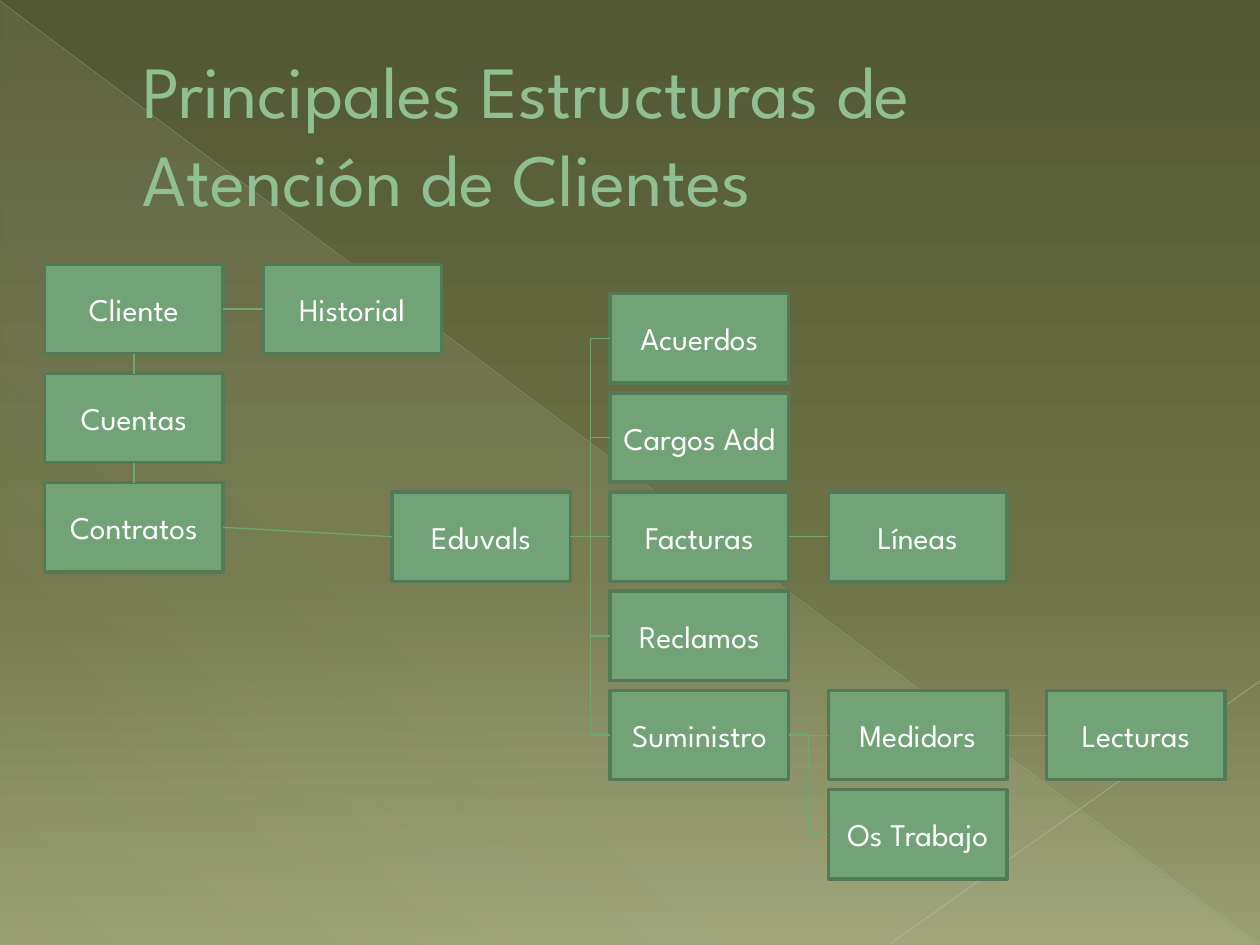
import pptx
import pptx.util
import pptx.dml.color
import pptx.enum.shapes
import pptx.enum.text
import pptx.oxml
import pptx.oxml.ns
from dataclasses import dataclass
from lxml import etree

Cm = pptx.util.Cm
Pt = pptx.util.Pt
RGB = pptx.dml.color.RGBColor.from_string
LINKS = pptx.enum.shapes.MSO_CONNECTOR
SHAPES = pptx.enum.shapes.MSO_SHAPE
NS = pptx.oxml.ns.nsdecls("a")


@dataclass(frozen=True)
class Theme:
    font: str = "League Spartan"
    title_size: int = 42
    box_size: int = 18
    title: str = "8FBF93"
    title_outline: str = "4F7152"
    box: str = "72A376"
    box_border: str = "547957"
    box_text: str = "FFFFFF"
    link: str = "6DA872"
    long_diagonal: str = "C1C3B9"
    short_diagonal: str = "C8C9C1"
    # Gradient stops: position %, colour, opacity %
    backdrop: tuple = ((0, "525734", 100), (60, "6D7345", 100), (100, "999F73", 100))
    sheen: tuple = ((0, "EAEBDE", 10), (70, "EAEBDE", 8), (100, "EAEBDE", 1))


theme = Theme()


def apply_gradient(solid_fill, stops, angle):
    """Put a linear gradient in the place of a solid fill element."""
    stop_xml = "".join(
        f'<a:gs pos="{position * 1000}"><a:srgbClr val="{colour}">'
        f'<a:alpha val="{opacity * 1000}"/></a:srgbClr></a:gs>'
        for position, colour, opacity in stops)
    gradient = pptx.oxml.parse_xml(
        f'<a:gradFill {NS} rotWithShape="1"><a:gsLst>{stop_xml}</a:gsLst>'
        f'<a:lin ang="{angle * 60000}" scaled="0"/></a:gradFill>')
    solid_fill.getparent().replace(solid_fill, gradient)


def add_line(kind, start, end, colour, width):
    """Add a shadowless connector between two points in cm."""
    line = slide.shapes.add_connector(kind, *map(Cm, start + end))
    line.line.color.rgb = RGB(colour)
    line.line.width = Pt(width)
    properties = line.element.xpath("./p:spPr")[0]
    etree.SubElement(properties, pptx.oxml.ns.qn("a:effectLst"))
    return line


presentation = pptx.Presentation()
presentation.slide_width, presentation.slide_height = Cm(25.4), Cm(19.05)
slide = presentation.slides.add_slide(presentation.slide_layouts[6])

# Background
slide.background.fill.solid()
apply_gradient(slide.element.xpath(".//p:bgPr/a:solidFill")[0], theme.backdrop, 90)

# Pale triangle and the two thin diagonals
sheen = slide.shapes.add_shape(
    SHAPES.RIGHT_TRIANGLE, Cm(0.02), Cm(0.04), Cm(25.35), Cm(19))
sheen.shadow.inherit = False
sheen.line.fill.background()
sheen.fill.solid()
sheen.fill.fore_color.rgb = RGB(theme.sheen[0][1])
apply_gradient(sheen.element.xpath("./p:spPr/a:solidFill")[0], theme.sheen, 133)

for start, end, colour, width, opacity in [
        ((0, 0.02), (25.37, 19.02), theme.long_diagonal, 0.39, 35),
        ((25.4, 13.73), (17.95, 19.02), theme.short_diagonal, 0.47, 45)]:
    diagonal = add_line(LINKS.STRAIGHT, start, end, colour, width)
    tint = diagonal.element.xpath(".//a:ln//a:srgbClr")[0]
    etree.SubElement(tint, pptx.oxml.ns.qn("a:alpha"), val=str(opacity * 1000))

# Title, with a thin outline on its letters
title = slide.shapes.add_textbox(Cm(1.27), Cm(0.74), Cm(22.86), Cm(3.89))
title.text_frame.word_wrap = True
title.text_frame.vertical_anchor = pptx.enum.text.MSO_ANCHOR.MIDDLE
title.text_frame.margin_left = Cm(1.6)
heading = title.text_frame.paragraphs[0]
heading.text = "Principales Estructuras de \vAtención de Clientes"
heading.font.name = theme.font
heading.font.size = Pt(theme.title_size)
heading.font.color.rgb = RGB(theme.title)
for run in heading.runs:
    run.font.bold = False
for run_properties in title.element.xpath(".//a:r/a:rPr"):
    run_properties.insert(0, pptx.oxml.parse_xml(
        f'<a:ln {NS} w="{Pt(0.5)}"><a:solidFill>'
        f'<a:srgbClr val="{theme.title_outline}"/></a:solidFill></a:ln>'))

# Structure boxes: the client column and the tree have their own row steps
box_width, box_height = 3.6, 1.8
column_step, client_step, tree_step = 4.4, 2.2, 2
client_left, client_top = 0.9, 5.33
tree_left, tree_top = 12.3, 5.92

places = {
    "Cuentas": (client_left, client_top + client_step),
    "Cliente": (client_left, client_top),
    "Contratos": (client_left, client_top + 2 * client_step),
    "Historial": (client_left + column_step, client_top),
    "Eduvals": (tree_left - column_step, tree_top + 2 * tree_step),
}
tree_columns = [
    (0, 0, ["Acuerdos", "Cargos Add", "Facturas", "Reclamos", "Suministro"]),
    (1, 2, ["Líneas"]),
    (1, 4, ["Medidors", "Os Trabajo"]),
    (2, 4, ["Lecturas"]),
]
for column, first_row, names in tree_columns:
    for row, name in enumerate(names, first_row):
        places[name] = (tree_left + column * column_step, tree_top + row * tree_step)

for name, (left, top) in places.items():
    box = slide.shapes.add_shape(
        SHAPES.RECTANGLE, Cm(left), Cm(top), Cm(box_width), Cm(box_height))
    box.shadow.inherit = False
    box.fill.solid()
    box.fill.fore_color.rgb = RGB(theme.box)
    box.line.color.rgb = RGB(theme.box_border)
    box.line.width = Pt(2)
    box.text_frame.word_wrap = False
    label = box.text_frame.paragraphs[0]
    label.text = name
    label.alignment = pptx.enum.text.PP_ALIGN.CENTER
    label.font.name = theme.font
    label.font.size = Pt(theme.box_size)
    label.font.color.rgb = RGB(theme.box_text)

# Links from the right side of a box to the left side of the next
for parent, children in {
        "Cliente": ["Historial"],
        "Contratos": ["Eduvals"],
        "Eduvals": ["Acuerdos", "Cargos Add", "Facturas", "Reclamos", "Suministro"],
        "Facturas": ["Líneas"],
        "Suministro": ["Medidors", "Os Trabajo"],
        "Medidors": ["Lecturas"]}.items():
    left, top = places[parent]
    start = (left + box_width, top + box_height / 2)
    for child in children:
        child_left, child_top = places[child]
        level = child_top == top
        kind = LINKS.STRAIGHT if level or parent == "Contratos" else LINKS.ELBOW
        add_line(kind, start, (child_left, child_top + box_height / 2), theme.link, 0.75)

# Links down the client column
middle = client_left + box_width / 2
for upper, lower in [("Cliente", "Cuentas"), ("Cuentas", "Contratos")]:
    add_line(LINKS.STRAIGHT, (middle, places[upper][1] + box_height),
             (middle, places[lower][1]), theme.link, 0.75)

presentation.save("out.pptx")
